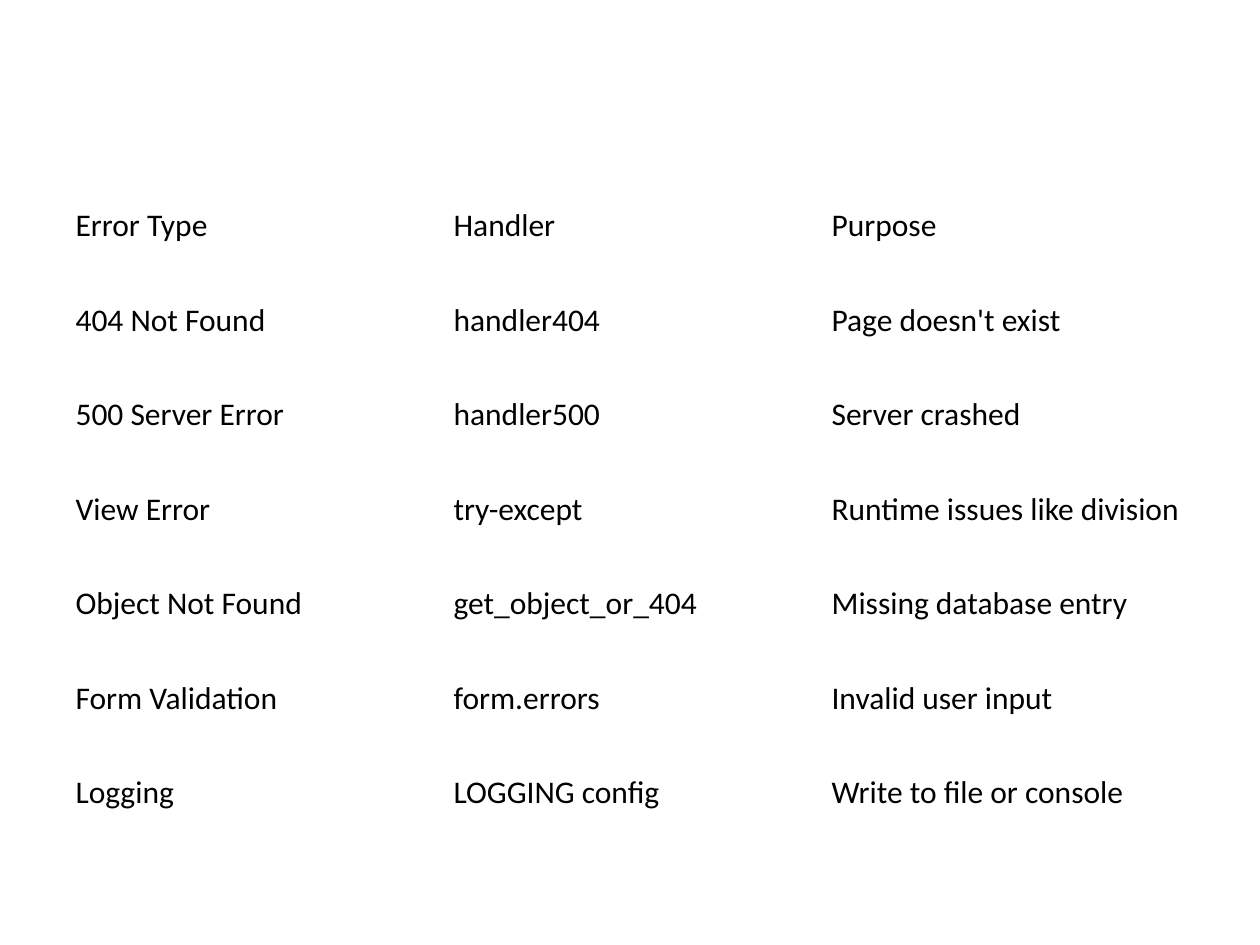
from typing import NamedTuple

from pptx import Presentation
from pptx.dml.color import RGBColor
from pptx.enum.text import MSO_ANCHOR
from pptx.util import Pt

PX = 9144  # EMU per px, 100 px to the inch
MIDDLE = MSO_ANCHOR.MIDDLE
BLANK = 6
COLORS = {"text": "000000", "fill": "FFFFFF"}
FONT = {"name": "Calibri", "size": Pt(18), "bold": False}
PLAIN = {"first_row": False, "horz_banding": False}


class Row(NamedTuple):
    error: str
    handler: str
    purpose: str


class Grid(NamedTuple):
    left: int
    top: int
    col: int
    row: int


ROWS = [
    Row("Error Type", "Handler", "Purpose"),
    Row("404 Not Found", "handler404", "Page doesn't exist"),
    Row("500 Server Error", "handler500", "Server crashed"),
    Row("View Error", "try-except", "Runtime issues like division"),
    Row("Object Not Found", "get_object_or_404", "Missing database entry"),
    Row("Form Validation", "form.errors", "Invalid user input"),
    Row("Logging", "LOGGING config", "Write to file or console"),
]
GRID = Grid(left=50, top=142, col=300, row=75)


def px(size: int) -> int:
    return size * PX


def put(item, values: dict) -> None:
    """Set each attribute of item from values."""
    for name, value in values.items():
        setattr(item, name, value)


def fill_cell(cell, text: str) -> None:
    cell.text = text
    cell.vertical_anchor = MIDDLE
    cell.fill.solid()
    cell.fill.fore_color.rgb = RGBColor.from_string(COLORS["fill"])
    font = cell.text_frame.paragraphs[0].runs[0].font
    put(font, FONT)
    font.color.rgb = RGBColor.from_string(COLORS["text"])


def add_grid(slide, grid: Grid, rows: list[Row]) -> None:
    high, wide = len(rows), len(Row._fields)
    table = slide.shapes.add_table(
        high, wide, px(grid.left), px(grid.top),
        px(grid.col * wide), px(grid.row * high),
    ).table
    put(table, PLAIN)
    for r, row in enumerate(rows):
        for c, text in enumerate(row):
            fill_cell(table.cell(r, c), text)


def main() -> None:
    deck = Presentation()
    deck.slide_width, deck.slide_height = px(1000), px(750)
    slide = deck.slides.add_slide(deck.slide_layouts[BLANK])
    add_grid(slide, GRID, ROWS)
    deck.save("out.pptx")


if __name__ == "__main__":
    main()
